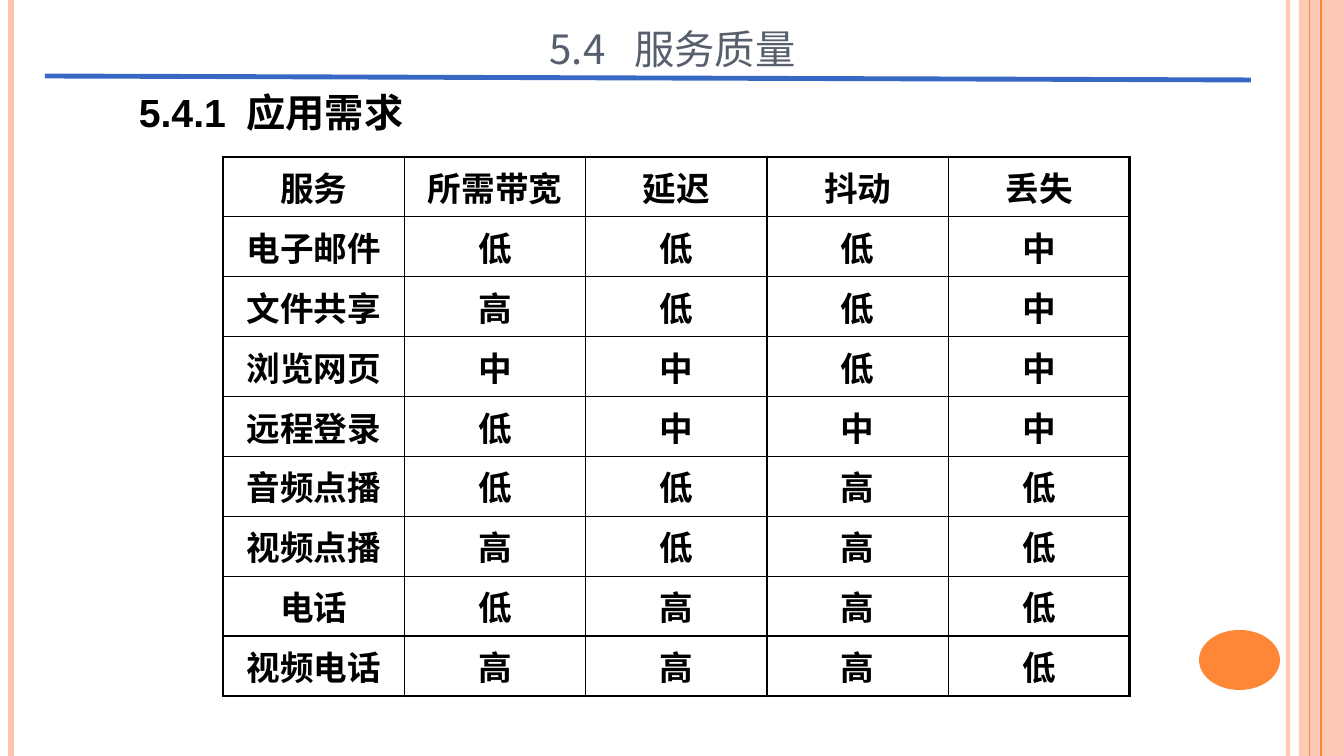
"""Build the service quality slide with its table of application requirements."""
from lxml import etree
from pptx import Presentation
from pptx import util as u
from pptx.dml.color import RGBColor
from pptx.enum import shapes, text
from pptx.oxml import ns

PX = 914400 / 100.8
BLACK = RGBColor(0x00, 0x00, 0x00)
SLATE = RGBColor(0x57, 0x5F, 0x6D)
BLUE = RGBColor(0x36, 0x68, 0xC4)
ORANGE = RGBColor(0xFE, 0x86, 0x37)
PEACH = RGBColor(0xFE, 0xC3, 0xAE)
CJK = "Noto Sans CJK SC"


def emu(*px):
    return [round(v * PX) for v in px]


def style_run(r, size, font, color, bold):
    r.font.size = u.Pt(size)
    r.font.name = font
    r.font.bold = bold
    r.font.color.rgb = color
    etree.SubElement(r.font._element, ns.qn("a:ea"), typeface=CJK)


prs = Presentation()
prs.slide_width, prs.slide_height = emu(1344, 756)
s = prs.slides.add_slide(prs.slide_layouts[6])

rules = [
    (1288, 0, 1288, 756, PEACH, 3, 93),
    (11, 0, 11, 756, PEACH, 4.5, 100),
    (1321, 0, 1321, 756, ORANGE, 1.5, 100),
    (1310, 0, 1310, 756, ORANGE, 0.75, 100),
    (45, 76, 1251, 80, BLUE, 3.5, 100),
]
panels = [
    (shapes.MSO_SHAPE.RECTANGLE, (1299, 0, 45, 756), PEACH, 87),
    (shapes.MSO_SHAPE.OVAL, (1199, 630, 81, 60), ORANGE, 100),
]
for kind, box, color, alpha in panels:
    sp = s.shapes.add_shape(kind, *emu(*box))
    sp.shadow.inherit = False
    sp.fill.solid()
    sp.fill.fore_color.rgb = color
    sp.line.fill.background()
    if alpha < 100:
        clr = sp._element.spPr.find(".//" + ns.qn("a:srgbClr"))
        etree.SubElement(clr, ns.qn("a:alpha"), val=str(alpha * 1000))

for x1, y1, x2, y2, color, width, alpha in rules:
    sp = s.shapes.add_connector(shapes.MSO_CONNECTOR.STRAIGHT, *emu(x1, y1, x2, y2))
    sp.line.color.rgb = color
    sp.line.width = u.Pt(width)
    if alpha < 100:
        clr = sp._element.spPr.find(".//" + ns.qn("a:srgbClr"))
        etree.SubElement(clr, ns.qn("a:alpha"), val=str(alpha * 1000))
    etree.SubElement(sp._element.spPr, ns.qn("a:effectLst"))

headings = [
    ((91, 60, 360, 81), ("5.4.1", " ", "应用需求"), 28, "Arial", BLACK, True, 0.9, "none"),
    ((224, 0, 897, 80), ("5.4", " ", "服务质量"), 36, CJK, SLATE, False, 1.5, "small"),
]
for box, parts, size, font, color, bold, spacing, caps in headings:
    tf = s.shapes.add_textbox(*emu(*box)).text_frame
    tf.word_wrap = True
    tf.vertical_anchor = text.MSO_ANCHOR.BOTTOM
    p = tf.paragraphs[0]
    p.alignment = text.PP_ALIGN.CENTER
    p.line_spacing = spacing
    for part in parts:
        r = p.add_run()
        r.text = part
        style_run(r, size, font, color, bold)
        r.font._element.set("cap", caps)
    p.runs[1].font._element.set("spc", "700")

rows = [
    "服务 所需带宽 延迟 抖动 丢失",
    "电子邮件 低 低 低 中",
    "文件共享 高 低 低 中",
    "浏览网页 中 中 低 中",
    "远程登录 低 中 中 中",
    "音频点播 低 低 高 低",
    "视频点播 高 低 高 低",
    "电话 低 高 高 低",
    "视频电话 高 高 高 低",
]
table = s.shapes.add_table(len(rows), 5, *emu(223, 157, 907, 539)).table
table.first_row = False
table.horz_banding = False
last_row, last_col = len(rows) - 1, 4
for i, row in enumerate(rows):
    for j, value in enumerate(row.split()):
        cell = table.cell(i, j)
        cell.margin_left, cell.margin_right = emu(7, 7)
        cell.margin_top, cell.margin_bottom = emu(4, 4)
        cell.vertical_anchor = text.MSO_ANCHOR.MIDDLE
        p = cell.text_frame.paragraphs[0]
        p.text = value
        p.alignment = text.PP_ALIGN.CENTER
        style_run(p.runs[0], 24, CJK, BLACK, True)
        tc_pr = cell._tc.get_or_add_tcPr()
        outer = {"L": j == 0, "R": j == last_col, "T": i == 0, "B": i == last_row}
        for side, is_outer in outer.items():
            width = u.Pt(2.25 if is_outer else 1)
            ln = etree.SubElement(tc_pr, ns.qn("a:ln" + side), w=str(width))
            fill = etree.SubElement(ln, ns.qn("a:solidFill"))
            etree.SubElement(fill, ns.qn("a:srgbClr"), val=str(BLACK))
        cell.fill.background()

prs.save("out.pptx")
